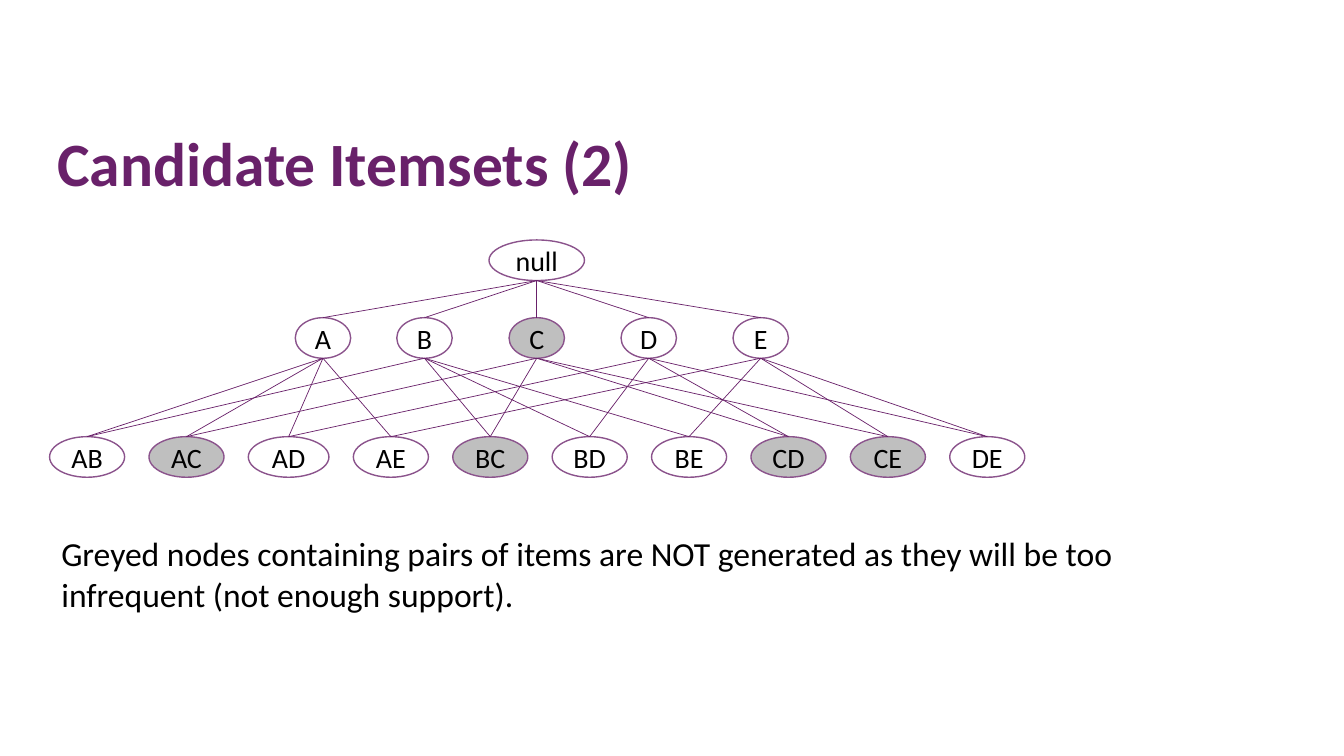
"""Builds a slide showing an itemset lattice with its infrequent nodes greyed."""
from itertools import combinations

from lxml import etree
from pptx import Presentation
from pptx.dml.color import RGBColor
from pptx.enum import shapes, text
from pptx.oxml.ns import qn
from pptx.util import Pt

TITLE = "Candidate Itemsets (2)"
NOTE = ("Greyed nodes containing pairs of items are NOT generated as they will "
        "be too infrequent (not enough support).")
ROOT = "null"
ITEM_CENTRES = {"A": 230.7, "B": 303.2, "C": 383.4, "D": 463.4, "E": 543.4}
INFREQUENT = "C"

THEME = {
    "font": "Calibri", "title": 44, "note": 24, "node": 20,
    "purple": "69216A", "outline": "8B538C", "grey": "BFBFBF", "ink": "000000",
}
NODE_HEIGHT = 29
ROOT_TOP, ITEM_TOP, PAIR_TOP = 171.4, 226.9, 311.9
ROOT_WIDTH, ITEM_WIDTH, PAIR_WIDTH = 68.2, 39.6, 53.6
WIDER_PAIRS = {"AD": 57.6}
PAIR_LEFT, PAIR_GAP = 35.4, 17.4


def colour(name):
    return RGBColor.from_string(THEME[name])


def write(frame, words, *, size, ink="ink", bold=False, wrap=True,
          align=text.PP_ALIGN.LEFT, anchor=text.MSO_ANCHOR.TOP, spacing=None):
    frame.word_wrap = wrap
    frame.vertical_anchor = anchor
    paragraph = frame.paragraphs[0]
    paragraph.alignment = align
    paragraph.line_spacing = spacing
    run = paragraph.add_run()
    run.text = words
    run.font.name = THEME["font"]
    run.font.size = Pt(THEME[size])
    run.font.bold = bold
    run.font.color.rgb = colour(ink)


def add_node(slide, label, left, top, width):
    node = slide.shapes.add_shape(shapes.MSO_SHAPE.OVAL, Pt(left), Pt(top),
                                  Pt(width), Pt(NODE_HEIGHT))
    node.shadow.inherit = False
    if INFREQUENT in label:
        node.fill.solid()
        node.fill.fore_color.rgb = colour("grey")
    else:
        node.fill.background()
    node.line.color.rgb = colour("outline")
    node.line.width = Pt(1)
    frame = node.text_frame
    frame.margin_left = frame.margin_right = frame.margin_top = frame.margin_bottom = 0
    write(frame, label, size="node", wrap=False,
          align=text.PP_ALIGN.CENTER, anchor=text.MSO_ANCHOR.MIDDLE)
    return node


def add_edge(slide, parent, child):
    edge = slide.shapes.add_connector(shapes.MSO_CONNECTOR.STRAIGHT, 0, 0, 0, 0)
    edge.begin_connect(parent, 2)
    edge.end_connect(child, 0)
    oval_bottom = "4"
    next(edge.element.iter(qn("a:stCxn"))).set("idx", oval_bottom)
    edge.line.color.rgb = colour("purple")
    edge.line.width = Pt(0.5)
    etree.SubElement(edge.element.spPr, qn("a:effectLst"))


def add_lattice(slide):
    root = add_node(slide, ROOT, ITEM_CENTRES["C"] - ROOT_WIDTH / 2,
                    ROOT_TOP, ROOT_WIDTH)
    items = {item: add_node(slide, item, centre - ITEM_WIDTH / 2, ITEM_TOP, ITEM_WIDTH)
             for item, centre in ITEM_CENTRES.items()}
    for item in items.values():
        add_edge(slide, root, item)
    left = PAIR_LEFT
    for members in combinations(items, 2):
        label = "".join(members)
        width = WIDER_PAIRS.get(label, PAIR_WIDTH)
        pair = add_node(slide, label, left, PAIR_TOP, width)
        for member in members:
            add_edge(slide, items[member], pair)
        left += width + PAIR_GAP


def main():
    deck = Presentation()
    deck.slide_width, deck.slide_height = Pt(960), Pt(540)
    slide = deck.slides.add_slide(deck.slide_layouts[6])
    add_lattice(slide)
    title = slide.shapes.add_textbox(Pt(33.8), Pt(89.3), Pt(828), Pt(59.8))
    write(title.text_frame, TITLE, size="title", ink="purple", bold=True,
          anchor=text.MSO_ANCHOR.MIDDLE, spacing=0.9)
    note = slide.shapes.add_textbox(Pt(36.7), Pt(377.3), Pt(851), Pt(65.5))
    write(note.text_frame, NOTE, size="note")
    deck.save("out.pptx")


if __name__ == "__main__":
    main()
